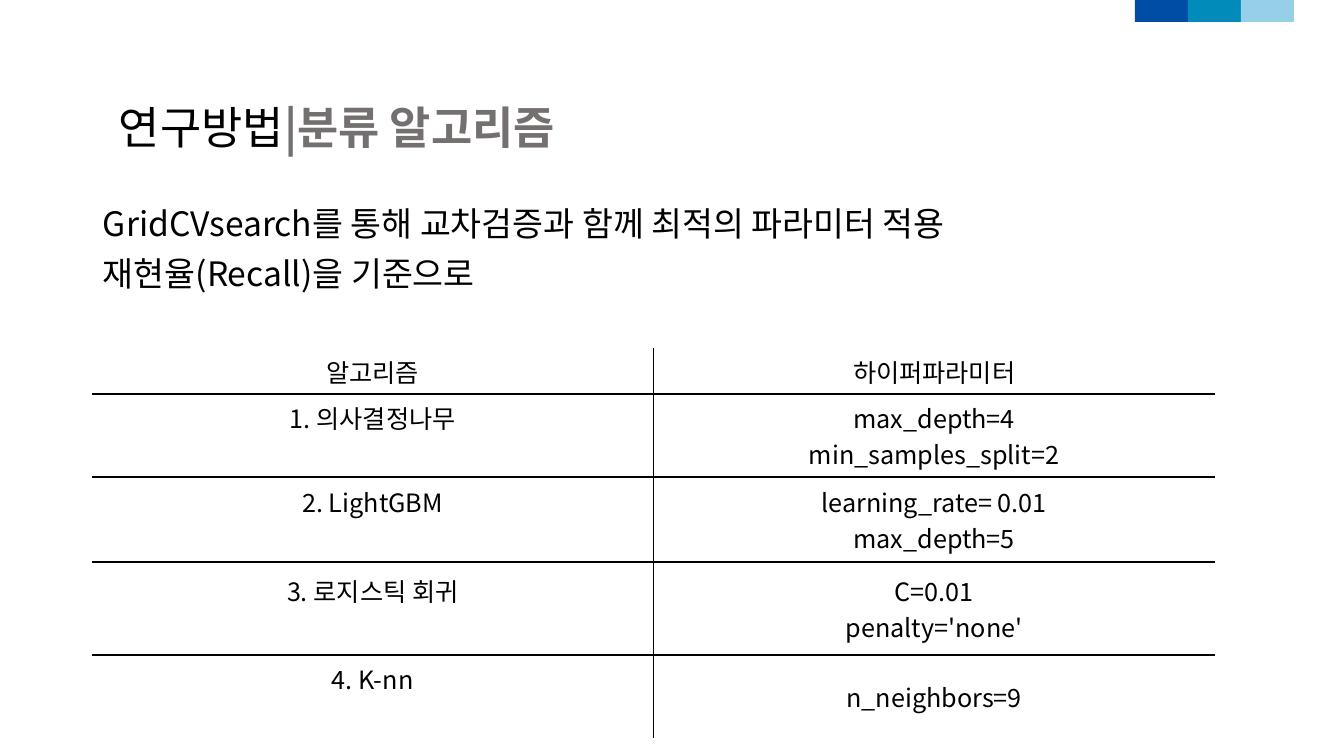
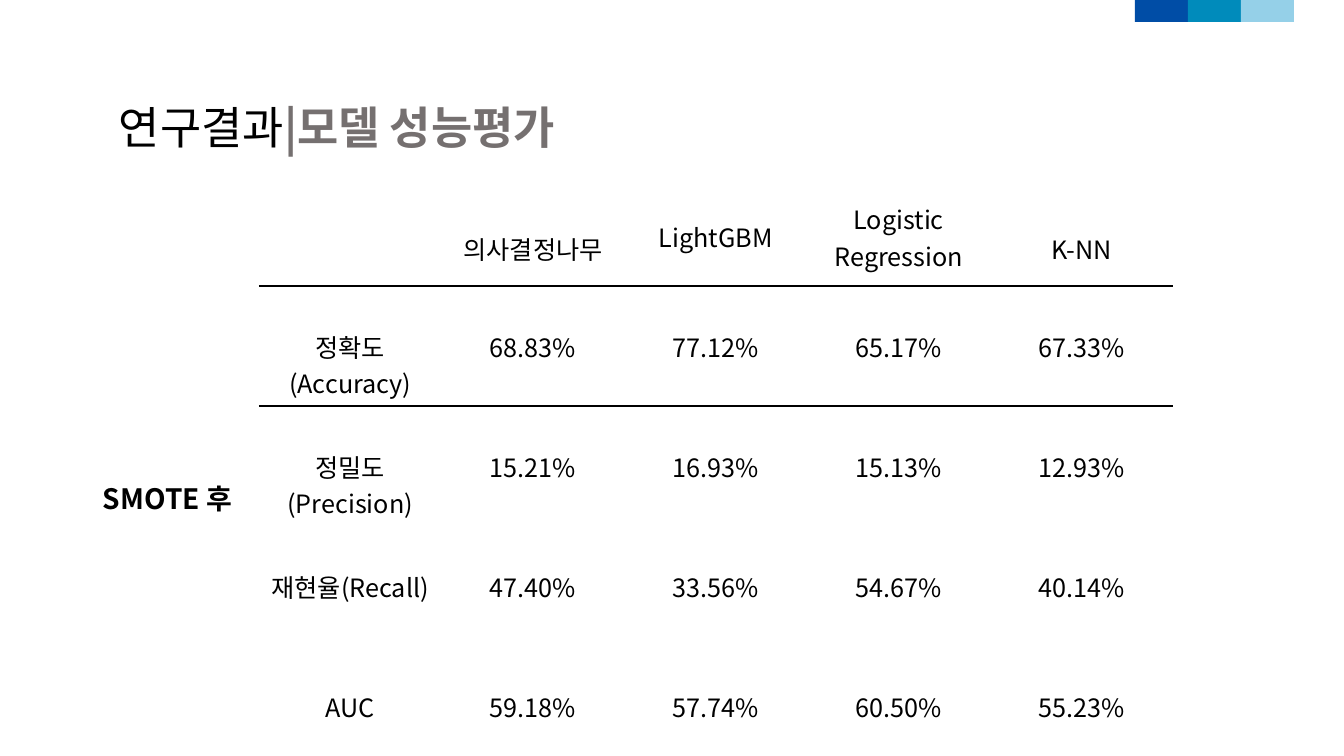
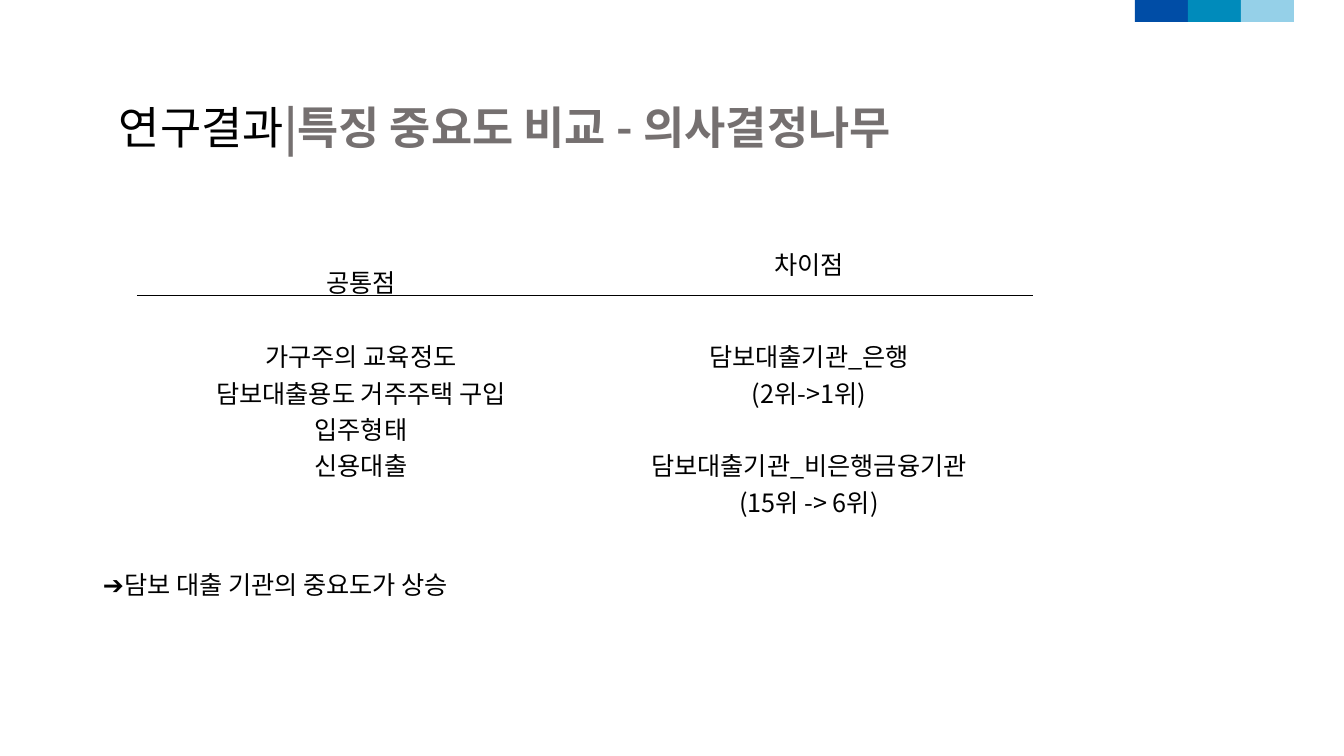
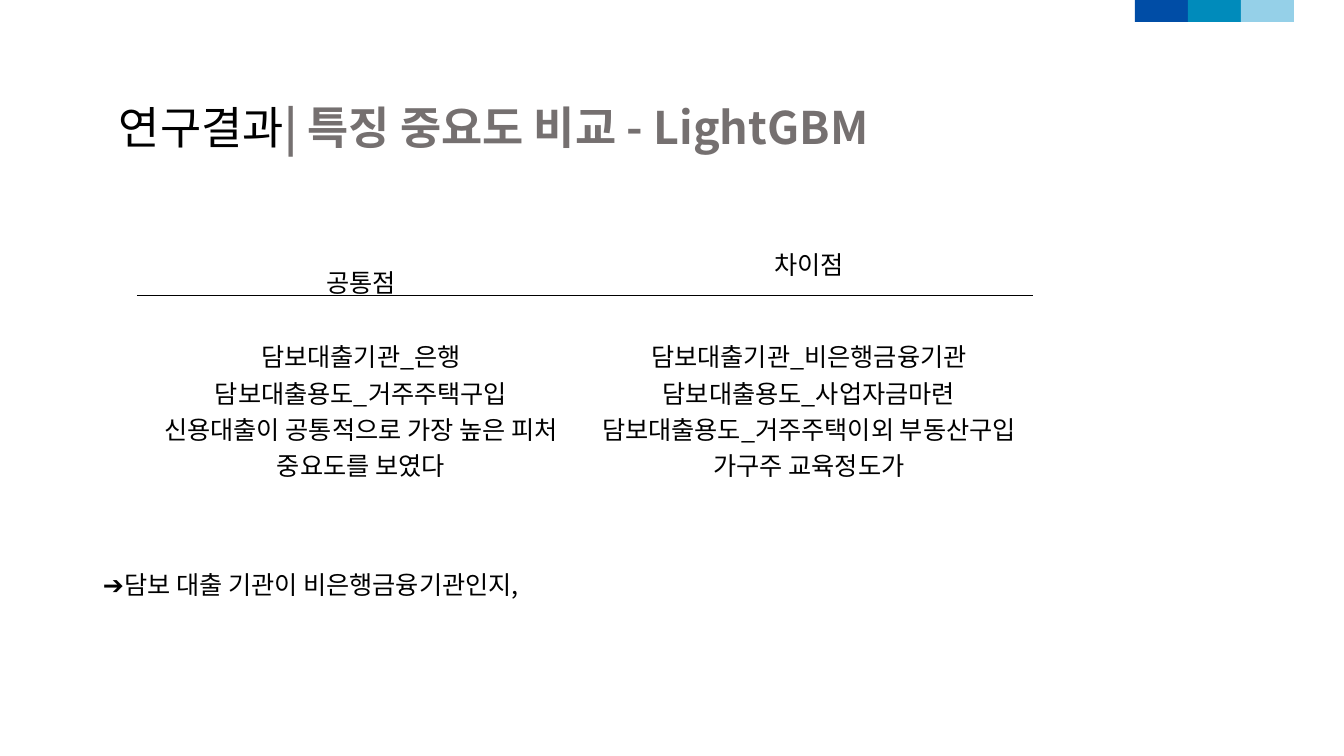
from dataclasses import dataclass

from lxml import etree
from pptx import Presentation
from pptx import util as u
from pptx.dml.color import RGBColor
from pptx.enum import shapes, text
from pptx.oxml import ns

PIXEL = 914400 / 100.8
FONT = "Noto Sans CJK KR"
TITLE_FONT = "Arial"
BLACK = RGBColor(0x00, 0x00, 0x00)
GREY = RGBColor(0x75, 0x70, 0x70)
BAND_COLOURS = (
    RGBColor(0x00, 0x4D, 0xA6),
    RGBColor(0x00, 0x8B, 0xBB),
    RGBColor(0x95, 0xD0, 0xE8),
)
PLAIN_TABLE = "{2D5ABB26-0587-4C30-8999-92F81FD0307C}"
INSET = 5
LINE = 37
TITLE_BOX = (109, 57, 1159, 146)
BAND_BOX = (1135, 0, 159, 22)


@dataclass
class Entry:
    content: str = ""
    middle: bool = False
    top: int = INSET
    bottom: int = INSET
    size: int = 18
    bold: bool = False
    line_spacing: float = 1.0
    gap_at: int = -1


def px(length):
    return u.Emu(round(length * PIXEL))


def place(box):
    return [px(length) for length in box]


def style(font, size, colour=BLACK, bold=False, name=FONT):
    font.size = u.Pt(size)
    font.bold = bold
    font.color.rgb = colour
    font.name = name
    latin = font._element.find(ns.qn("a:latin"))
    east_asian = etree.Element(ns.qn("a:ea"), typeface=FONT)
    latin.addnext(east_asian)


def add_text(slide, box, lines, size, line_spacing=1.0, space_before=0):
    frame = slide.shapes.add_textbox(*place(box)).text_frame
    frame.word_wrap = True
    frame.text = "\n".join(lines)
    for paragraph in frame.paragraphs:
        paragraph.line_spacing = line_spacing
        paragraph.space_before = u.Pt(space_before)
        style(paragraph.font, size)


def add_band(slide, box):
    left, top, width, height = box
    step = width // len(BAND_COLOURS)
    for index, colour in enumerate(BAND_COLOURS):
        block = slide.shapes.add_shape(
            shapes.MSO_SHAPE.RECTANGLE,
            *place((left + index * step, top, step, height)))
        block.shadow.inherit = False
        block.fill.solid()
        block.fill.fore_color.rgb = colour
        block.line.fill.background()


def add_title(slide, box, section, topic):
    frame = slide.shapes.add_textbox(*place(box)).text_frame
    frame.word_wrap = True
    frame.vertical_anchor = text.MSO_ANCHOR.MIDDLE
    paragraph = frame.paragraphs[0]
    paragraph.line_spacing = 0.9
    section_run = paragraph.add_run()
    section_run.text = section
    style(section_run.font, 32, name=TITLE_FONT)
    topic_run = paragraph.add_run()
    topic_run.text = "|" + topic
    style(topic_run.font, 32, GREY, True)


def add_slide(presentation, section, topic):
    slide = presentation.slides.add_slide(presentation.slide_layouts[6])
    add_band(slide, BAND_BOX)
    add_title(slide, TITLE_BOX, section, topic)
    return slide


def add_border(cell, side):
    line = etree.SubElement(
        cell._tc.get_or_add_tcPr(), ns.qn("a:ln" + side), w=str(u.Pt(1)))
    fill = etree.SubElement(line, ns.qn("a:solidFill"))
    etree.SubElement(fill, ns.qn("a:srgbClr"), val=str(BLACK))


def fill_cell(cell, entry, sides):
    for side in sides:
        add_border(cell, side)
    cell.fill.background()
    cell.margin_top = px(entry.top)
    cell.margin_bottom = px(entry.bottom)
    if entry.middle:
        cell.vertical_anchor = text.MSO_ANCHOR.MIDDLE
    cell.text = entry.content
    for index, paragraph in enumerate(cell.text_frame.paragraphs):
        paragraph.alignment = text.PP_ALIGN.CENTER
        paragraph.line_spacing = entry.line_spacing
        if index == entry.gap_at:
            paragraph.space_before = u.Pt(26)
        style(paragraph.font, entry.size, bold=entry.bold)


def add_grid(slide, box, heights, rows, ruled_rows, ruled_columns=(), first_ruled=0):
    columns = len(rows[0])
    table = slide.shapes.add_table(len(rows), columns, *place(box)).table
    table.first_row = False
    table.horz_banding = False
    table._tbl.tblPr.find(ns.qn("a:tableStyleId")).text = PLAIN_TABLE
    for column in table.columns:
        column.width = px(box[2] / columns)
    for row, height in zip(table.rows, heights):
        row.height = px(height)
    for r, entries in enumerate(rows):
        for c, entry in enumerate(entries):
            ruled = c >= first_ruled
            edges = {
                "L": c - 1 in ruled_columns,
                "R": c in ruled_columns,
                "T": ruled and r - 1 in ruled_rows,
                "B": ruled and r in ruled_rows,
            }
            fill_cell(table.cell(r, c), entry, [side for side in edges if edges[side]])
    return table


def add_algorithms(slide, box):
    parameters = (
        ("1. 의사결정나무", "max_depth=4\nmin_samples_split=2"),
        ("2. LightGBM", "learning_rate= 0.01\nmax_depth=5"),
        ("3. 로지스틱 회귀", "C=0.01\npenalty='none'"),
        ("4. K-nn", "n_neighbors=9"),
    )
    rows = [[Entry("알고리즘", True), Entry("하이퍼파라미터", True)]]
    rows += [[Entry(name, True, bottom=INSET + LINE - 1), Entry(values, True)]
             for name, values in parameters]
    add_grid(slide, box, (46, 83, 85, 93, 83), rows, range(4), (0,))


def add_scores(slide, box):
    scores = (
        ("정확도(Accuracy)", "68.83%", "77.12%", "65.17%", "67.33%"),
        ("정밀도(Precision)", "15.21%", "16.93%", "15.13%", "12.93%"),
        ("재현율(Recall)", "47.40%", "33.56%", "54.67%", "40.14%"),
        ("AUC", "59.18%", "57.74%", "60.50%", "55.23%"),
    )
    lowered = INSET + LINE
    rows = [[
        Entry("SMOTE 후", top=289, size=20, bold=True),
        Entry(),
        Entry("의사결정나무", top=lowered),
        Entry("LightGBM", True),
        Entry("Logistic Regression", True),
        Entry("K-NN", top=lowered),
    ]]
    rows += [[Entry()] + [Entry(value, top=lowered) for value in score]
             for score in scores]
    table = add_grid(slide, box, (98, 120, 120, 120, 83), rows, (0,), first_ruled=1)
    table.cell(0, 0).merge(table.cell(len(scores), 0))


def add_comparison(slide, box, common, different, gap_at=-1):
    lowered = INSET + LINE
    rows = [
        [Entry("공통점", line_spacing=1.5), Entry("차이점")],
        [Entry("\n".join(common), top=lowered),
         Entry("\n".join(different), top=lowered, gap_at=gap_at)],
    ]
    add_grid(slide, box, (55, 229), rows, (0,))


def build_method(presentation):
    slide = add_slide(presentation, "연구방법", "분류 알고리즘")
    lines = ("GridCVsearch를 통해 교차검증과 함께 최적의 파라미터 적용",
             "재현율(Recall)을 기준으로")
    add_text(slide, (93, 202, 1159, 480), lines, 24, 0.9, 10)
    add_algorithms(slide, (92, 348, 1123, 390))


def build_evaluation(presentation):
    slide = add_slide(presentation, "연구결과", "모델 성능평가")
    add_scores(slide, (76, 188, 1097, 541))


def build_importance(presentation, topic, common, different, conclusion, gap_at=-1):
    slide = add_slide(presentation, "연구결과", topic)
    add_text(slide, (93, 564, 1003, 46), ("➔" + conclusion,), 18)
    add_comparison(slide, (137, 240, 896, 284), common, different, gap_at)


presentation = Presentation()
presentation.slide_width = px(1344)
presentation.slide_height = px(756)
build_method(presentation)
build_evaluation(presentation)
build_importance(
    presentation,
    "특징 중요도 비교 - 의사결정나무",
    ("가구주의 교육정도", "담보대출용도 거주주택 구입", "입주형태", "신용대출"),
    ("담보대출기관_은행", "(2위->1위)", "담보대출기관_비은행금융기관", "(15위 -> 6위)"),
    "담보 대출 기관의 중요도가 상승",
    gap_at=2,
)
build_importance(
    presentation,
    " 특징 중요도 비교 - LightGBM",
    ("담보대출기관_은행", "담보대출용도_거주주택구입",
     "신용대출이 공통적으로 가장 높은 피처 중요도를 보였다"),
    ("담보대출기관_비은행금융기관", "담보대출용도_사업자금마련",
     "담보대출용도_거주주택이외 부동산구입", "가구주 교육정도가"),
    "담보 대출 기관이 비은행금융기관인지,",
)
presentation.save("out.pptx")
